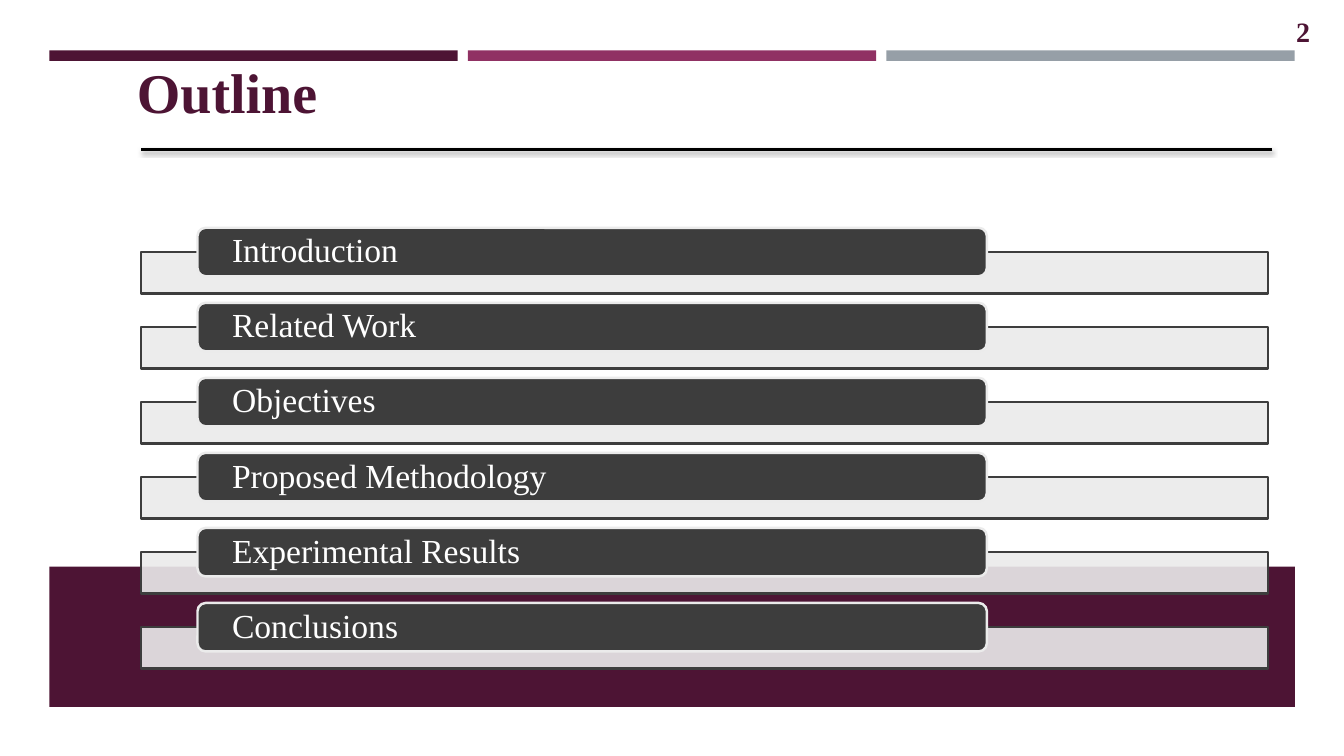
from lxml import etree
from pptx import Presentation
from pptx.dml.color import RGBColor
from pptx.enum.shapes import MSO_CONNECTOR, MSO_SHAPE
from pptx.enum.text import MSO_ANCHOR, PP_ALIGN
from pptx.oxml.ns import qn
from pptx.util import Pt

RECT, ROUNDED = MSO_SHAPE.RECTANGLE, MSO_SHAPE.ROUNDED_RECTANGLE
STRAIGHT = MSO_CONNECTOR.STRAIGHT
TOP, MIDDLE = MSO_ANCHOR.TOP, MSO_ANCHOR.MIDDLE
LEFT, CENTER = PP_ALIGN.LEFT, PP_ALIGN.CENTER

TITLE = "Outline"
PAGE_NUMBER = "2"
TOPICS = [
    "Introduction",
    "Related Work",
    "Objectives",
    "Proposed Methodology",
    "Experimental Results",
    "Conclusions",
]
FONT = "Times New Roman"
PLUM, MAGENTA, GREY = "4D1434", "903163", "969FA7"
DARK, PALE, WHITE, BLACK = "3D3D3D", "EBEBEB", "FFFFFF", "000000"
STRIPES = [PLUM, MAGENTA, GREY]

MARGIN, STRIPE_WIDTH, STRIPE_PITCH = 35.3, 291.6, 298.9
TRACK_LEFT, TRACK_WIDTH, TRACK_HEIGHT = 100.8, 805, 29.5
LABEL_LEFT, LABEL_WIDTH, LABEL_HEIGHT = 141.1, 563.8, 34.6
FIRST_TRACK, FIRST_LABEL, TOPIC_PITCH = 180, 162.7, 53.6


def color(value):
    return RGBColor.from_string(value)


def add_block(kind, left, top, width, height, fill, outline=None):
    block = slide.shapes.add_shape(kind, Pt(left), Pt(top), Pt(width), Pt(height))
    block.shadow.inherit = False
    block.fill.solid()
    block.fill.fore_color.rgb = color(fill)
    if outline:
        block.line.color.rgb = color(outline)
        block.line.width = Pt(1.75)
    else:
        block.line.fill.background()
    return block


def write(holder, words, size, ink, bold=False, align=LEFT, anchor=MIDDLE):
    frame = holder.text_frame
    frame.text = words
    frame.word_wrap = True
    frame.vertical_anchor = anchor
    paragraph = frame.paragraphs[0]
    paragraph.alignment = align
    font = paragraph.runs[0].font
    font.name, font.size, font.bold = FONT, Pt(size), bold
    font.color.rgb = color(ink)
    return paragraph


def add_words(left, top, width, height, *args, **style):
    box = slide.shapes.add_textbox(Pt(left), Pt(top), Pt(width), Pt(height))
    return write(box, *args, **style)


def add_alpha(color_element, percent):
    etree.SubElement(color_element, qn("a:alpha"), val=str(percent * 1000))


def add_rule(left, right, top):
    rule = slide.shapes.add_connector(STRAIGHT, Pt(right), Pt(top), Pt(left), Pt(top))
    rule.line.color.rgb = color(BLACK)
    rule.line.width = Pt(2)
    effects = etree.SubElement(rule._element.spPr, qn("a:effectLst"))
    shadow = etree.SubElement(
        effects, qn("a:outerShdw"), blurRad=str(Pt(3)), dist=str(Pt(2)),
        dir="5400000", rotWithShape="0")
    add_alpha(etree.SubElement(shadow, qn("a:srgbClr"), val=BLACK), 55)


def add_topic(index, topic):
    offset = index * TOPIC_PITCH
    track = add_block(RECT, TRACK_LEFT, FIRST_TRACK + offset,
                      TRACK_WIDTH, TRACK_HEIGHT, PALE, DARK)
    add_alpha(track._element.spPr.find(qn("a:solidFill"))[0], 90)
    label = add_block(ROUNDED, LABEL_LEFT, FIRST_LABEL + offset,
                      LABEL_WIDTH, LABEL_HEIGHT, DARK, PALE)
    frame = label.text_frame
    frame.margin_left = frame.margin_right = Pt(23)
    frame.margin_top = frame.margin_bottom = 0
    write(label, topic, 24, WHITE).line_spacing = 0.9


presentation = Presentation()
presentation.slide_width, presentation.slide_height = Pt(960), Pt(540)
slide = presentation.slides.add_slide(presentation.slide_layouts[6])

for index, stripe in enumerate(STRIPES):
    add_block(RECT, MARGIN + index * STRIPE_PITCH, 36, STRIPE_WIDTH, 7.5, stripe)
add_block(RECT, MARGIN, 404.8, 889.6, 100.1, PLUM)

add_rule(TRACK_LEFT, 908.8, 106.6)
add_words(90.7, 37.4, 810.7, 55.4, TITLE, 40, PLUM, bold=True, anchor=TOP)

for index, topic in enumerate(TOPICS):
    add_topic(index, topic)

number = add_words(901.4, 0.7, 59, 38.2, PAGE_NUMBER, 20, PLUM, bold=True, align=CENTER)
number.line_spacing = 1.2
number.space_before = Pt(10)

presentation.save("out.pptx")
